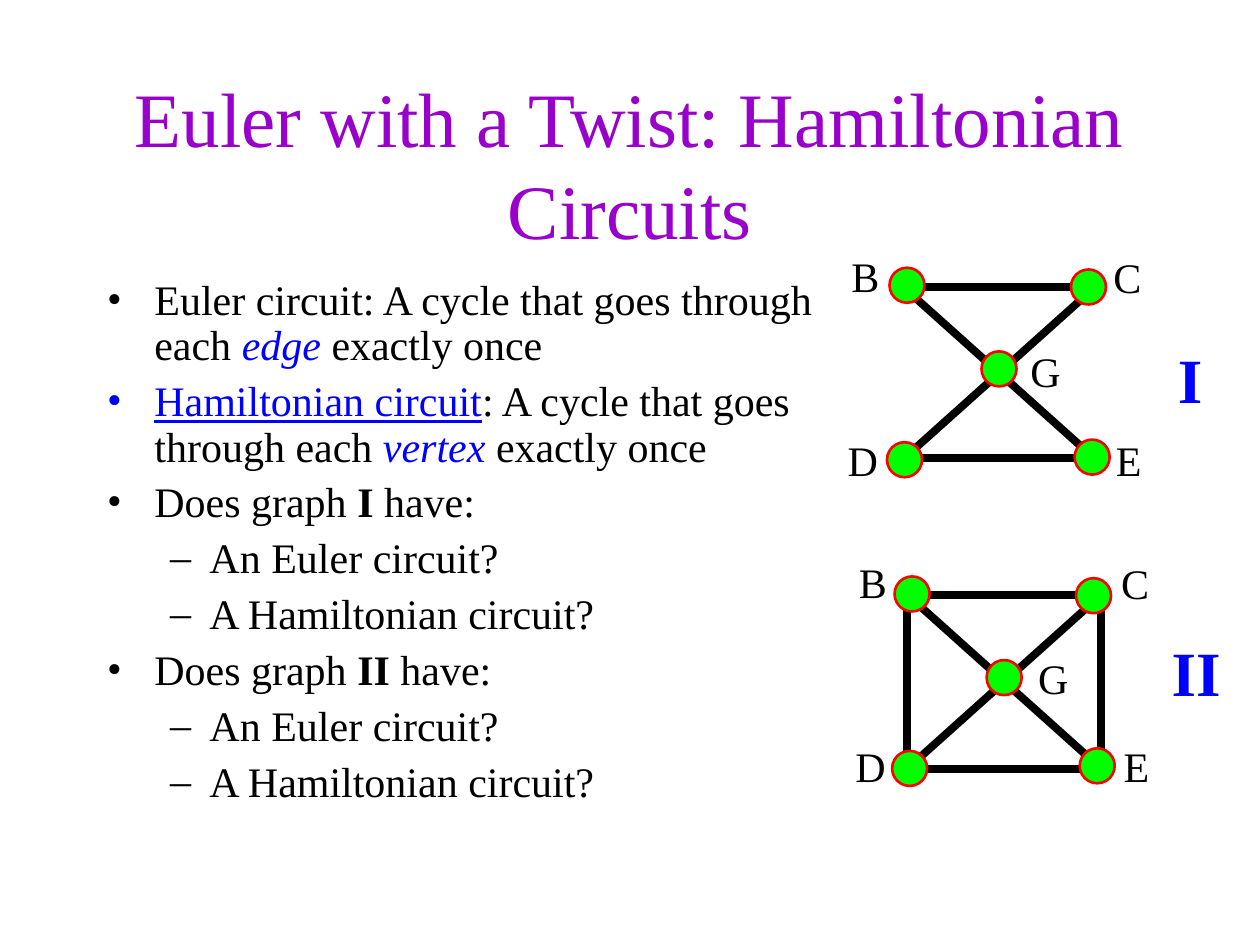
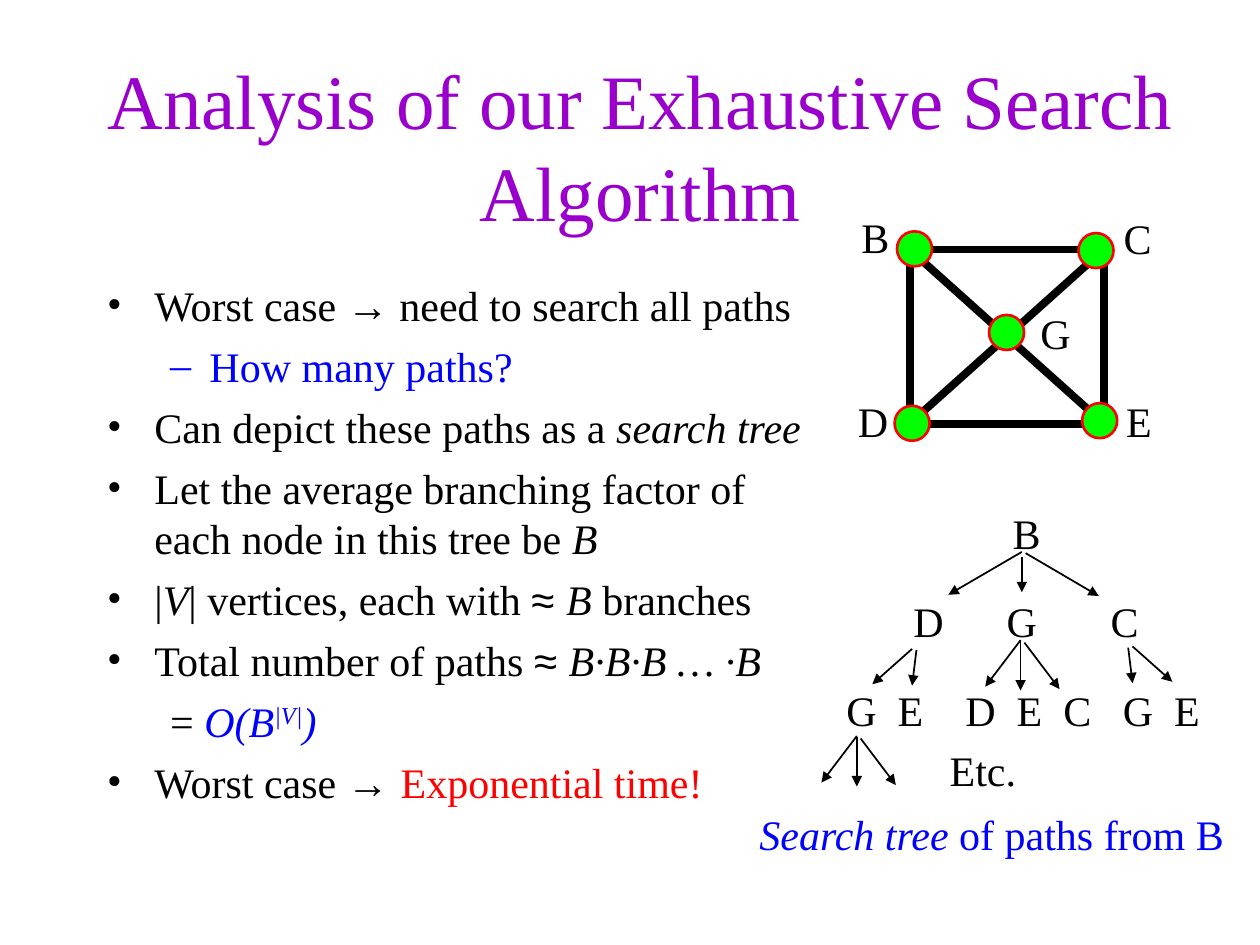
from lxml import etree
from pptx import Presentation
from pptx import util as u
from pptx.dml.color import RGBColor
from pptx.enum import shapes, text
from pptx.oxml import ns

BLACK = RGBColor(0x00, 0x00, 0x00)
BLUE = RGBColor(0x00, 0x00, 0xFF)
RED = RGBColor(0xFF, 0x00, 0x00)
GREEN = RGBColor(0x00, 0xFF, 0x00)
PURPLE = RGBColor(0x99, 0x00, 0xCC)
SERIF = "Times New Roman"
SANS = "Arial"

ITALIC = {"italic": True}
BLUE_ITALIC = {"italic": True, "color": BLUE}
BOLD = {"bold": True}
SYMBOL = {"font": SANS}

LEVELS = [("•", 27, -27), ("–", 58.5, -22.5)]
NODE_SIZE = 20
LABEL_SIZE = (30, 36)
SQUARE = (111, 99.5)
VERTICES = {
    "B": ((-7.2, -10.4), (-34.6, -25.2)),
    "C": ((96.5, -9.4), (115.2, -24.5)),
    "D": ((-8.6, 89.3), (-36.7, 79.9)),
    "E": ((98.6, 87.8), (116.6, 79.9)),
    "G": ((45.4, 37.4), (67.7, 29.5)),
}

WIDE_FAN = [(0, 0, -42, 24.5), (0, 3, 0, 23), (2.2, 0.7, 44, 25.2)]
NARROW_FAN = [(0, 0, -20.2, 26.6), (0, 0.7, 0, 28.8), (2.2, 1.4, 22.3, 28)]
PAIR_FAN = [(0, 0, -22.7, 20.2), (2.5, 0.7, 0, 21)]
MIRRORED_PAIR = [(-x1, y1, -x2, y2) for x1, y1, x2, y2 in PAIR_FAN]

CIRCUIT_LIST = [
    (0, BLACK, [("Euler circuit: A cycle that goes through each ", {}), ("edge", BLUE_ITALIC),
                (" exactly once", {})]),
    (0, BLUE, [("Hamiltonian circuit", {"color": BLUE, "underline": True}),
               (": A cycle that goes through each ", {}), ("vertex", BLUE_ITALIC),
               (" exactly once", {})]),
]
for numeral in ("I", "II"):
    CIRCUIT_LIST += [
        (0, BLACK, [("Does graph ", {}), (numeral, BOLD), (" have:", {})]),
        (1, BLACK, [("An Euler circuit?", {})]),
        (1, BLACK, [("A Hamiltonian circuit?", {})]),
    ]

ANALYSIS_LIST = [
    (0, BLACK, [("Worst case ", {}), ("→", SYMBOL), (" need to search all paths", {})]),
    (1, BLUE, [("How many paths?", {"color": BLUE})]),
    (0, BLACK, [("Can depict these paths as a ", {}), ("search tree", ITALIC)]),
    (0, BLACK, [("Let the average branching factor of each node in this tree be ", {}),
                ("B", ITALIC)]),
    (0, BLACK, [("|", {}), ("V", ITALIC), ("| vertices, each with ", {}), ("≈ ", SYMBOL),
                ("B", ITALIC), (" branches", {})]),
    (0, BLACK, [("Total number of paths ", {}), ("≈ ", SYMBOL), ("B·B·B … ·B", ITALIC)]),
    (1, None, [("= ", {}), ("O(B", BLUE_ITALIC), ("|V|", {**BLUE_ITALIC, "raised": True}),
               (")", BLUE_ITALIC)]),
    (0, BLACK, [("Worst case ", {}), ("→ ", SYMBOL), ("Exponential time!", {"color": RED})]),
]


def add_xml(parent, tag, **attributes):
    """Append a DrawingML element to its parent."""
    return etree.SubElement(parent, ns.qn("a:" + tag), attributes)


def add_run(paragraph, words, size=24, color=BLACK, font=SERIF, bold=False, italic=False,
            underline=False, raised=False):
    """Append formatted text to a paragraph."""
    run = paragraph.add_run()
    run.text = words
    run.font.name = font
    run.font.size = u.Pt(size)
    run.font.color.rgb = color
    run.font.bold = bold
    run.font.italic = italic
    run.font.underline = underline
    if raised:
        run._r.get_or_add_rPr().set("baseline", "30000")


def add_label(slide, box, runs, tabs=()):
    """Add a text box with formatted runs and optional tab stops."""
    shape = slide.shapes.add_textbox(*map(u.Pt, box))
    shape.text_frame.word_wrap = True
    paragraph = shape.text_frame.paragraphs[0]
    if tabs:
        tab_list = add_xml(paragraph._p.get_or_add_pPr(), "tabLst")
        for position in tabs:
            add_xml(tab_list, "tab", pos=str(u.Pt(position)), algn="l")
    for words, style in runs:
        add_run(paragraph, words, **style)


def add_line(slide, start, end, width, arrow=False):
    """Draw a black straight line, with an arrowhead at its end if asked."""
    line = slide.shapes.add_connector(shapes.MSO_CONNECTOR.STRAIGHT, *map(u.Pt, (*start, *end)))
    line.line.color.rgb = BLACK
    line.line.width = u.Pt(width)
    if arrow:
        add_xml(line.line._get_or_add_ln(), "tailEnd", type="triangle")
    add_xml(line._element.spPr, "effectLst")


def add_outlined(slide, kind, box, color, width, fill=None):
    """Add an outlined preset shape."""
    shape = slide.shapes.add_shape(kind, *map(u.Pt, box))
    shape.shadow.inherit = False
    shape.line.color.rgb = color
    shape.line.width = u.Pt(width)
    if fill is None:
        shape.fill.background()
    else:
        shape.fill.solid()
        shape.fill.fore_color.rgb = fill


def place(shape, box):
    """Move a placeholder to a box and stop it from resizing."""
    shape.left, shape.top, shape.width, shape.height = map(u.Pt, box)
    shape.text_frame.auto_size = text.MSO_AUTO_SIZE.NONE
    shape.text_frame.word_wrap = True
    return shape.text_frame


def fill_title(slide, box, words):
    """Set the centred slide title."""
    frame = place(slide.shapes.title, box)
    frame.vertical_anchor = text.MSO_ANCHOR.MIDDLE
    paragraph = frame.paragraphs[0]
    paragraph.alignment = text.PP_ALIGN.CENTER
    add_run(paragraph, words, size=44, color=PURPLE)


def fill_list(slide, box, items, line_spacing):
    """Fill the body placeholder with a two-level list."""
    frame = place(slide.placeholders[1], box)
    for index, (level, bullet_color, runs) in enumerate(items):
        paragraph = frame.add_paragraph() if index else frame.paragraphs[0]
        paragraph.level = level
        paragraph.line_spacing = line_spacing
        paragraph.space_before = u.Pt(6)
        bullet, margin, indent = LEVELS[level]
        properties = paragraph._p.get_or_add_pPr()
        properties.set("marL", str(u.Pt(margin)))
        properties.set("indent", str(u.Pt(indent)))
        if bullet_color is None:
            add_xml(properties, "buNone")
        else:
            add_xml(add_xml(properties, "buClr"), "srgbClr", val=str(bullet_color))
            add_xml(properties, "buFont", typeface=SERIF)
            add_xml(properties, "buChar", char=bullet)
        for words, style in runs:
            add_run(paragraph, words, **style)


def draw_graph(slide, left, top, has_sides=True, label_shift=(0, 0)):
    """Draw the five-vertex graph with its square's corner at left, top."""
    width, height = SQUARE
    right, bottom = left + width, top + height
    if has_sides:
        add_outlined(slide, shapes.MSO_SHAPE.RECTANGLE, (left, top, width, height), BLACK, 4.5)
    else:
        for y in (top + 0.7, bottom - 1.4):
            add_line(slide, (left + 2, y), (right - 4, y), 4.5)
    add_line(slide, (left, top), (right, bottom), 4.5)
    add_line(slide, (left, bottom), (right, top), 4.5)
    for (x, y), _ in VERTICES.values():
        add_outlined(slide, shapes.MSO_SHAPE.OVAL, (left + x, top + y, NODE_SIZE, NODE_SIZE),
                     RED, 1.5, fill=GREEN)
    shift_x, shift_y = label_shift
    for name, (_, (x, y)) in VERTICES.items():
        add_label(slide, (left + x + shift_x, top + y + shift_y, *LABEL_SIZE), [(name, {})])


def draw_search_tree(slide, left, top):
    """Draw the tree of paths from B with its caption."""
    rows = [
        ((95, 0, 30), [("B", {})], ()),
        ((38.2, 50.4, 143.3), [("D\tG\tC", {})], (53.3, 112.7)),
        ((0, 100.8, 228.2), [("G\tE\tD\tE\tC\tG\tE", {})], (29.3, 68, 97.3, 124, 158, 187.3)),
        ((59, 135.4, 67), [("Etc.", {})], ()),
        ((-49.7, 172, 285), [("Search tree", BLUE_ITALIC),
                             (" of paths from B", {"color": BLUE})], ()),
    ]
    for (x, y, width), runs, tabs in rows:
        add_label(slide, (left + x, top + y, width, 36), runs, tabs)
    fans = [
        (107.3, 28.8, WIDE_FAN),
        (44.6, 84.2, PAIR_FAN),
        (106.6, 79.2, NARROW_FAN),
        (170.6, 82.8, MIRRORED_PAIR),
        (13, 134, NARROW_FAN),
    ]
    for x, y, arrows in fans:
        root_x, root_y = left + x, top + y
        for x1, y1, x2, y2 in arrows:
            add_line(slide, (root_x + x1, root_y + y1), (root_x + x2, root_y + y2), 1, arrow=True)


def build_circuits_slide(slide):
    """Build the comparison of Euler and Hamiltonian circuits."""
    fill_title(slide, (54, 48, 612, 90), "Euler with a Twist: Hamiltonian Circuits")
    fill_list(slide, (54, 156, 422, 324), CIRCUIT_LIST, 0.9)
    draw_graph(slide, 518.4, 339.8)
    draw_graph(slide, 515.5, 163.4, has_sides=False, label_shift=(-1.5, 1.2))
    numeral_style = {"size": 36, "color": BLUE, "bold": True}
    add_label(slide, (666, 190.8, 28.4, 50.4), [("I", numeral_style)])
    add_label(slide, (662.4, 358.6, 43, 50.4), [("II", numeral_style)])


def build_analysis_slide(slide):
    """Build the analysis of the exhaustive search."""
    fill_title(slide, (52.5, 51, 627, 63.5), "Analysis of our Exhaustive Search Algorithm")
    fill_list(slide, (54, 156, 422.5, 324), ANALYSIS_LIST, 1.0)
    draw_graph(slide, 519.8, 142.6)
    draw_search_tree(slide, 476.6, 286.6)


def main():
    """Create and save the presentation."""
    presentation = Presentation()
    presentation.slide_width = u.Pt(720)
    presentation.slide_height = u.Pt(540)
    for build in (build_circuits_slide, build_analysis_slide):
        build(presentation.slides.add_slide(presentation.slide_layouts[1]))
    presentation.save("out.pptx")


if __name__ == "__main__":
    main()
